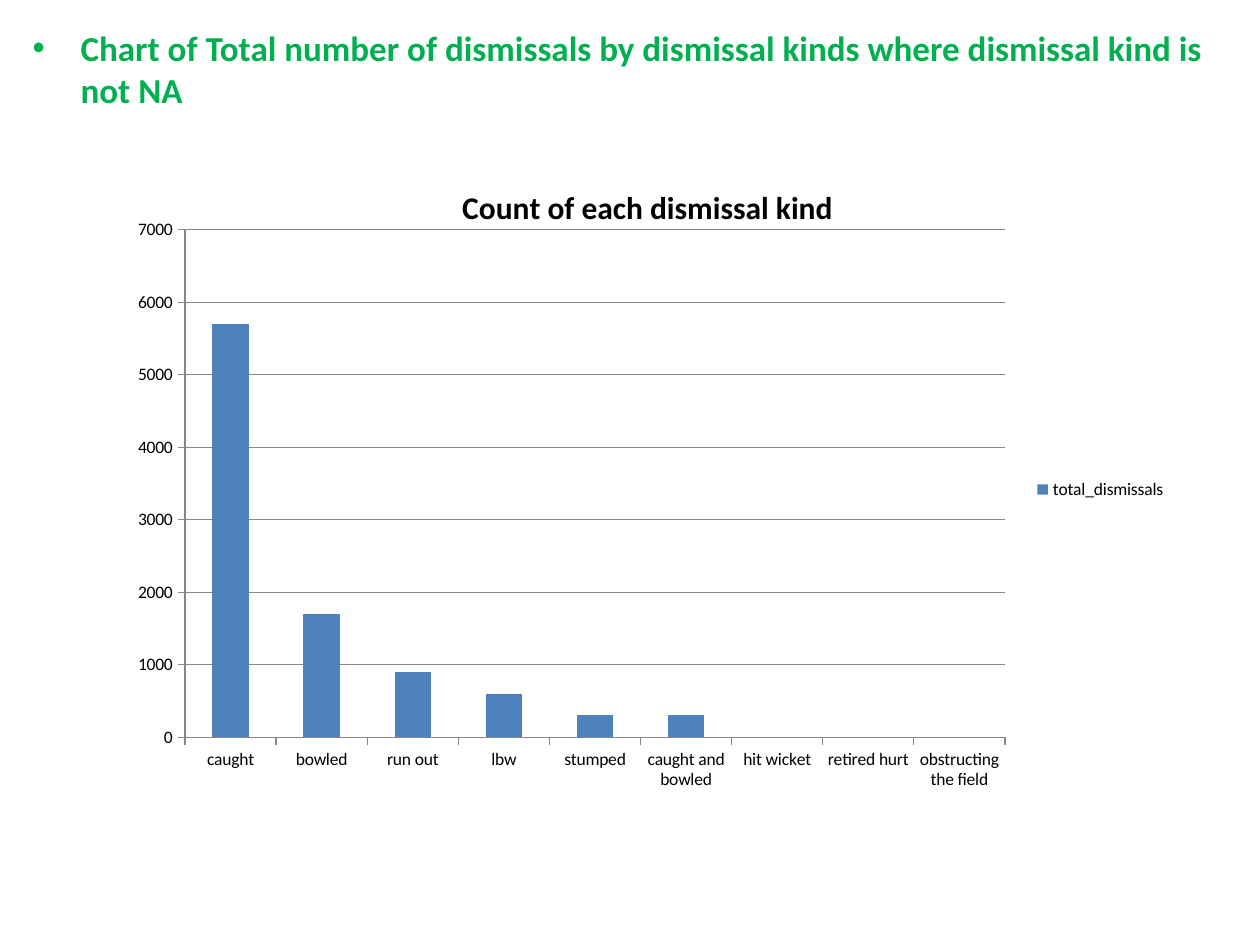
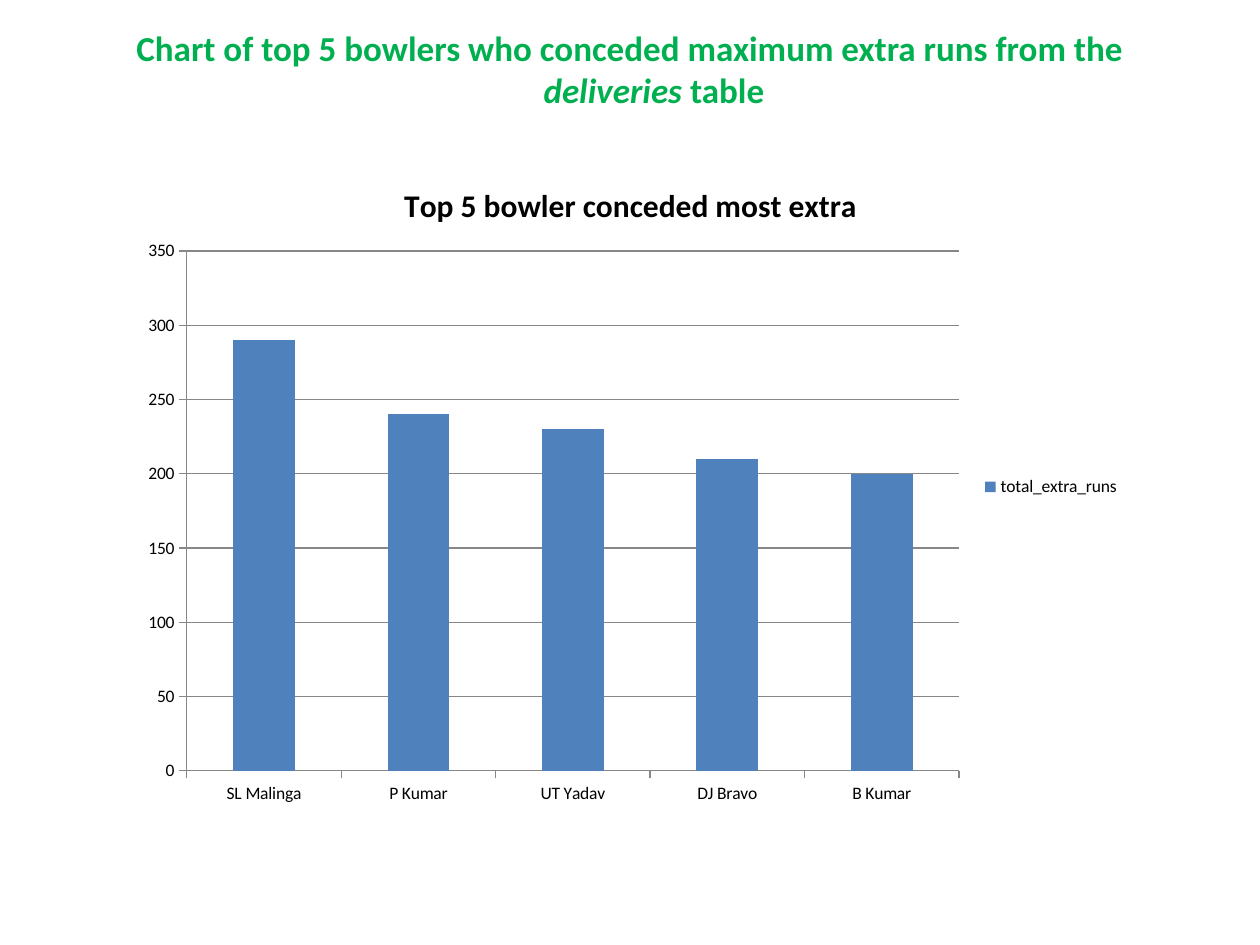
from lxml import etree
from pptx import Presentation
from pptx.chart.data import CategoryChartData
from pptx.dml.color import RGBColor
from pptx.enum.chart import XL_CHART_TYPE, XL_LEGEND_POSITION, XL_TICK_MARK
from pptx.enum.text import MSO_ANCHOR, MSO_AUTO_SIZE, PP_ALIGN
from pptx.oxml.ns import qn
from pptx.util import Inches, Pt

GREEN = RGBColor(0x00, 0xB0, 0x50)
BLUE = RGBColor(0x4F, 0x81, 0xBD)
BLACK = RGBColor(0x00, 0x00, 0x00)
GRAY = RGBColor(0x87, 0x87, 0x87)
FONT = "Calibri"


def apply(target, **values):
    for name, value in values.items():
        setattr(target, name, value)


def set_font(font, size, color, **values):
    apply(font, name=FONT, size=Pt(size), **values)
    font.color.rgb = color


class Deck:
    """Holds the shared style and the current slide."""

    def __init__(self):
        self.prs = Presentation()
        apply(self.prs, slide_width=Inches(10), slide_height=Inches(7.5))
        self.s = None

    def add_slide(self):
        self.s = self.prs.slides.add_slide(self.prs.slide_layouts[5])

    def title(self, left, width, runs, align, bullet=None):
        """Fill the title; runs are (text, italic) pairs."""
        sp = self.s.shapes.title
        apply(sp, left=Inches(left), top=Inches(0.16),
              width=Inches(width), height=Inches(7.11))
        tf = sp.text_frame
        apply(tf, word_wrap=True, auto_size=MSO_AUTO_SIZE.NONE,
              vertical_anchor=MSO_ANCHOR.TOP)
        p = tf.paragraphs[0]
        apply(p, alignment=align, space_before=Pt(4))
        for text, italic in runs:
            r = p.add_run()
            r.text = text
            set_font(r.font, 20, GREEN, bold=True, italic=italic)

        # Hanging indent and optional bullet
        pPr = p._p.get_or_add_pPr()
        pPr.set("marL", str(Inches(0.38)))
        pPr.set("indent", str(-Inches(0.38)))
        if bullet:
            etree.SubElement(pPr, qn("a:buFont")).set("typeface", "Arial")
            etree.SubElement(pPr, qn("a:buChar")).set("char", bullet)

    def column_chart(self, box, title, series_name, counts, top, step, plot):
        data = CategoryChartData()
        data.categories = list(counts)
        data.add_series(series_name, list(counts.values()))
        chart = self.s.shapes.add_chart(
            XL_CHART_TYPE.COLUMN_CLUSTERED, *map(Inches, box), data).chart
        set_font(chart.font, 10, BLACK)

        # Chart title and legend
        chart.has_title = True
        tf = chart.chart_title.text_frame
        tf.text = title
        set_font(tf.paragraphs[0].runs[0].font, 18, BLACK, bold=True)
        chart.chart_title.include_in_layout = False
        chart.has_legend = True
        apply(chart.legend, position=XL_LEGEND_POSITION.RIGHT,
              include_in_layout=False)

        # Axes and gridlines
        for axis in (chart.category_axis, chart.value_axis):
            apply(axis, major_tick_mark=XL_TICK_MARK.OUTSIDE,
                  minor_tick_mark=XL_TICK_MARK.NONE)
            axis.format.line.color.rgb = GRAY
        apply(chart.value_axis, minimum_scale=0, maximum_scale=top,
              major_unit=step, has_major_gridlines=True)
        chart.value_axis.major_gridlines.format.line.color.rgb = GRAY

        # Columns
        apply(chart.plots[0], gap_width=150, vary_by_categories=False)
        fill = chart.plots[0].series[0].format.fill
        fill.solid()
        fill.fore_color.rgb = BLUE
        self.place_plot(chart, plot)

    def place_plot(self, chart, plot):
        """Fix the inner plot area, in percent of the chart."""
        area = chart._chartSpace.find(".//" + qn("c:plotArea"))
        for old in area.findall(qn("c:layout")):
            area.remove(old)
        layout = etree.Element(qn("c:layout"))
        area.insert(0, layout)
        manual = etree.SubElement(layout, qn("c:manualLayout"))
        settings = [("layoutTarget", "inner"), ("xMode", "edge"), ("yMode", "edge"),
                    *zip("xywh", (percent / 100 for percent in plot))]
        for tag, value in settings:
            etree.SubElement(manual, qn("c:" + tag)).set("val", str(value))


def main():
    deck = Deck()

    # Dismissals by kind
    deck.add_slide()
    deck.title(0.16, 9.84, [("Chart of Total number of dismissals by dismissal kinds "
                             "where dismissal kind is not NA", False)],
               PP_ALIGN.LEFT, bullet="•")
    dismissals = {"caught": 5700, "bowled": 1700, "run out": 900, "lbw": 600,
                  "stumped": 300, "caught and bowled": 300, "hit wicket": 0,
                  "retired hurt": 0, "obstructing the field": 0}
    deck.column_chart((0.92, 1.27, 8.44, 5.23), "Count of each dismissal kind",
                      "total_dismissals", dismissals, 7000, 1000,
                      plot=(6.5, 10.6, 77.1, 77))

    # Bowlers with the most extras; no-break spaces keep "the deliveries table" whole
    deck.add_slide()
    deck.title(0.5, 9, [("Chart of top 5 bowlers who conceded maximum extra runs "
                         "from the ", False),
                        ("deliveries ", True), ("table", False)], PP_ALIGN.CENTER)
    extras = {"SL Malinga": 290, "P Kumar": 240, "UT Yadav": 230,
              "DJ Bravo": 210, "B Kumar": 200}
    deck.column_chart((1.02, 1.25, 7.97, 5.23), "Top 5 bowler conceded most extra",
                      "total_extra_runs", extras, 350, 50,
                      plot=(5.8, 14.2, 76.9, 78.9))

    deck.prs.save("out.pptx")


if __name__ == "__main__":
    main()
